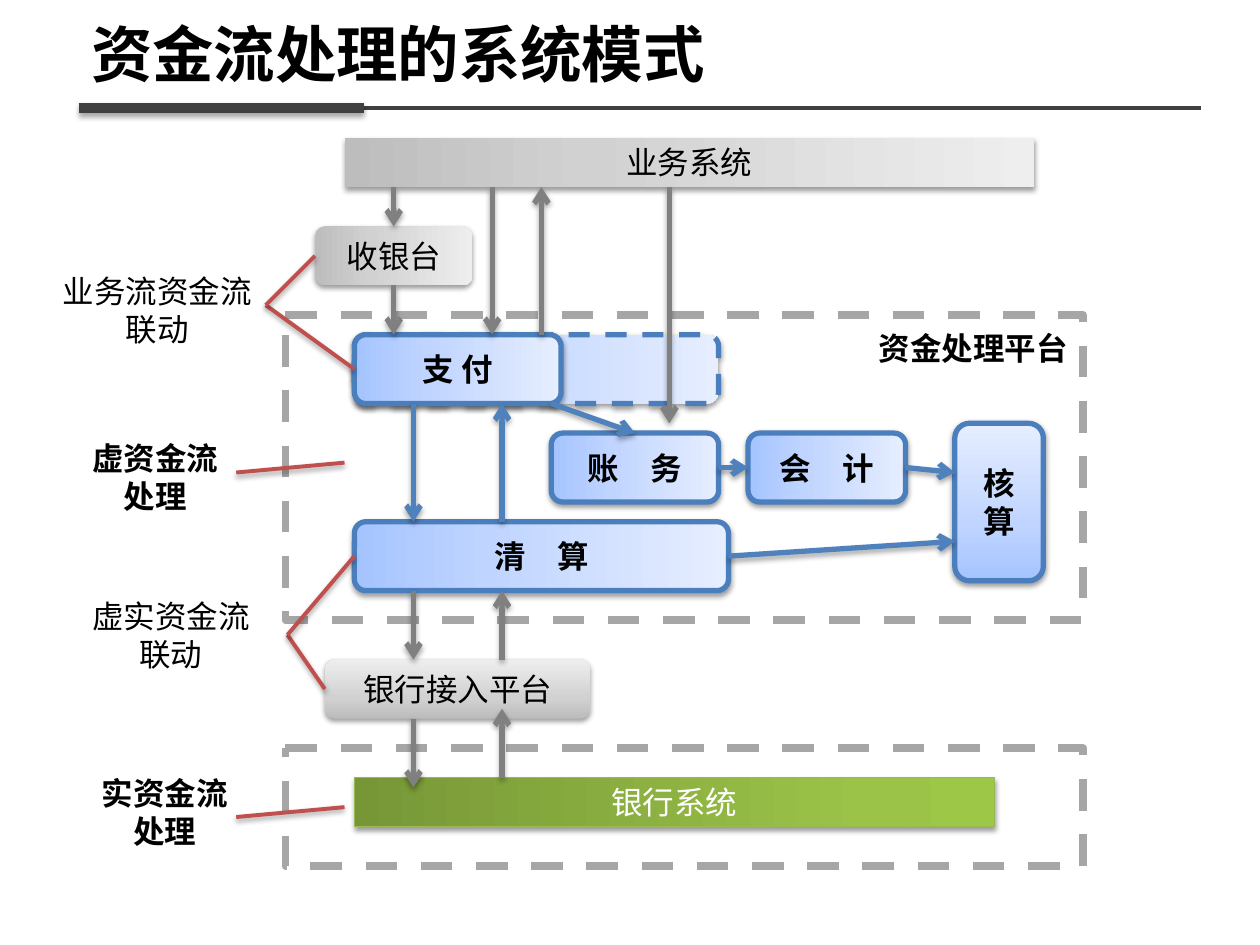
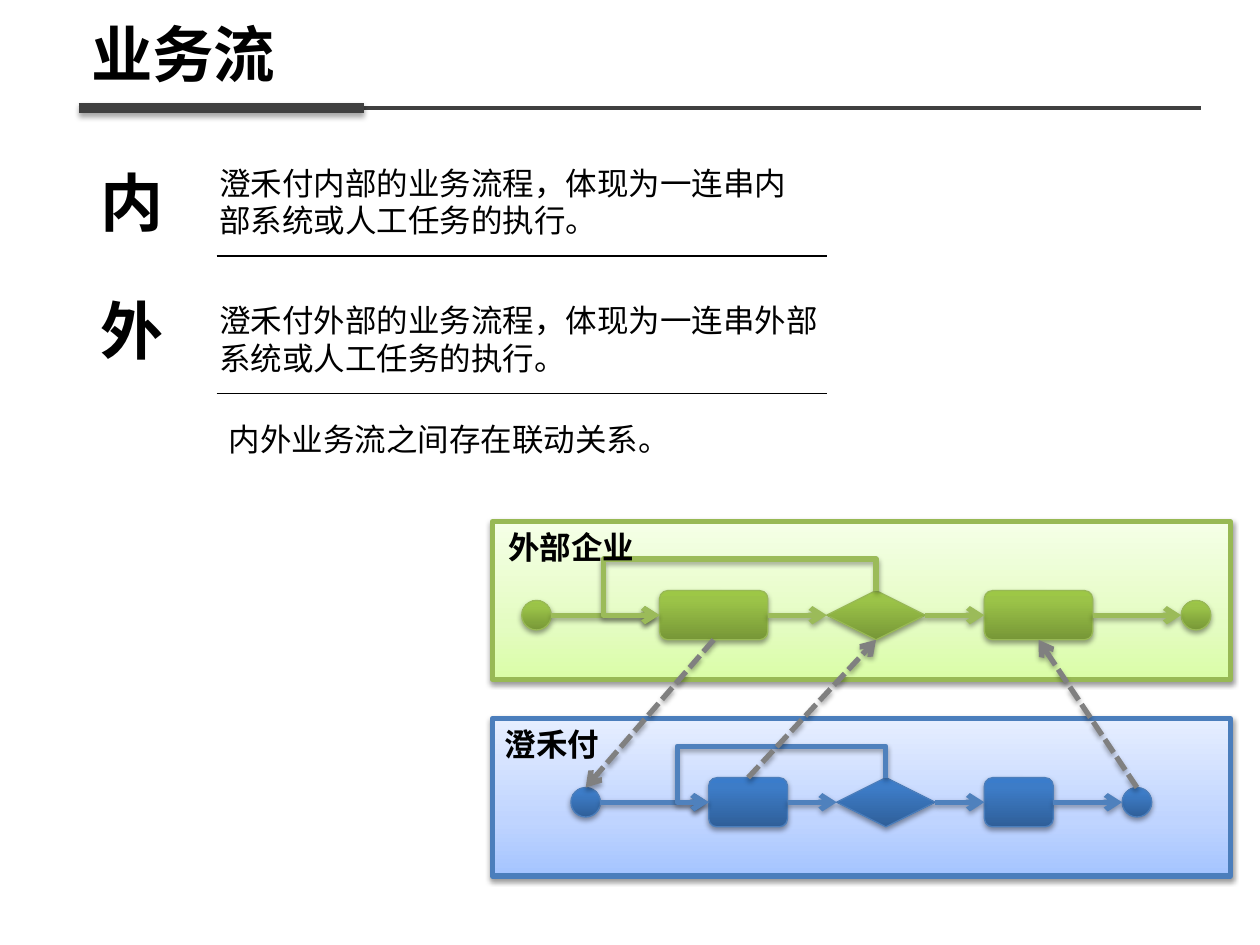
from dataclasses import dataclass
from itertools import pairwise
from typing import NamedTuple, Optional, Union

from lxml.etree import SubElement
from pptx import Presentation
from pptx.dml.color import RGBColor as Rgb
from pptx.enum.dml import MSO_LINE as Dash
from pptx.enum.shapes import MSO_CONNECTOR as Conn, MSO_SHAPE as Form
from pptx.enum.text import MSO_ANCHOR as Anchor, MSO_AUTO_SIZE as Fit, PP_ALIGN as Align
from pptx.oxml.ns import qn
from pptx.util import Emu, Inches, Pt

# Grid: 128 columns by 96 rows of square cells
WIDE, HIGH = Inches(10), Inches(7.5)
CELL = WIDE / 128
TOP, LEFT, BASE, RIGHT = range(4)


def cells(count: float) -> Emu:
    return Emu(round(count * CELL))


# Theme
class Paint(NamedTuple):
    stops: tuple = ()
    line: str = ""
    width: float = 0
    dash: Optional[Dash] = None


@dataclass(frozen=True)
class Theme:
    font: str = "Noto Sans CJK SC"
    black: str = "000000"
    white: str = "FFFFFF"
    dark: str = "404040"
    gray: str = "808080"
    red: str = "C0504D"
    blue: str = "4F81BD"
    green: str = "9BBB59"
    title: float = 35.1
    huge: float = 36
    body: float = 18
    stroke: float = 3
    mark: float = 2.25


T = Theme()
SKY = ((0, "A4C4FF"), (35, "BFD4FF"), (100, "E6EEFF"))
LIME = ((0, "DAFDA7"), (35, "E4FCC2"), (100, "F5FFE7"))
FOG = ((0, "BDBDBD"), (35, "D1D1D1"), (100, "EEEEEE"))
LEAF = ((0, "779737"), (80, "9BC348"), (100, "9DC746"))
NAVY = ((0, "2F5F99"), (80, "3D7CC7"), (100, "3A7CCB"))
CORE = Paint(SKY, "4B7EBC", 3)
SPARE = CORE._replace(dash=Dash.DASH)
FIELD = Paint(LIME, "98B955", 3)
SOFT = Paint(FOG)
BANK = Paint(LEAF, "98B955", 0.75)
DEEP = Paint(NAVY, "4B7EBC", 0.75)
FRAME = Paint((), "A6A6A6", 4.5, Dash.DASH)


# Records
class Area(NamedTuple):
    x: float
    y: float
    w: float
    h: float

    def emu(self) -> list:
        return [cells(n) for n in self]


class Point(NamedTuple):
    x: float
    y: float


class Joint(NamedTuple):
    shape: object
    side: int


End = Union[Point, Joint]


class Box(NamedTuple):
    text: str
    area: Area
    paint: Paint
    form: Form = Form.ROUNDED_RECTANGLE
    bold: bool = False
    rise: bool = False
    ink: str = T.black


class Label(NamedTuple):
    text: str
    area: Area
    bold: bool = False
    size: float = T.body
    align: Align = Align.LEFT
    wrap: bool = False


# Drawing
def shade(item, alpha: int, dist: float) -> None:
    props = item._element.spPr
    found = props.find(qn("a:effectLst"))
    glow = SubElement(props, qn("a:effectLst")) if found is None else found
    cast = SubElement(glow, qn("a:outerShdw"), blurRad=str(Pt(3.1)), dist=str(Pt(dist)),
                      dir="5400000", rotWithShape="0")
    tint = SubElement(cast, qn("a:srgbClr"), val=T.black)
    SubElement(tint, qn("a:alpha"), val=str(alpha * 1000))


def blend(fill, props, stops: tuple, rise: bool) -> None:
    fill.gradient()
    fill.gradient_angle = 90 if rise else 0
    ramp = props.find(".//" + qn("a:gsLst"))
    ramp.clear()
    for pos, tint in stops:
        stop = SubElement(ramp, qn("a:gs"), pos=str(pos * 1000))
        SubElement(stop, qn("a:srgbClr"), val=tint)


def write(frame, text: str, size: float, bold: bool, align: Align, ink: str = T.black) -> None:
    frame.text = text
    for para in frame.paragraphs:
        para.alignment = align
        font = para.font
        font.name, font.size, font.bold = T.font, Pt(size), bold
        font.color.rgb = Rgb.from_string(ink)
        SubElement(para._p.pPr.find(qn("a:defRPr")), qn("a:ea"), typeface=T.font)


def stroke(line, ink: str, width: float, dash: Optional[Dash] = None) -> None:
    line.color.rgb = Rgb.from_string(ink)
    line.width = Pt(width)
    if dash:
        line.dash_style = dash


def draw(slide, box: Box):
    shape = slide.shapes.add_shape(box.form, *box.area.emu())
    paint = box.paint
    if paint.stops:
        blend(shape.fill, shape._element.spPr, paint.stops, box.rise)
    else:
        shape.fill.background()
    if paint.line:
        stroke(shape.line, paint.line, paint.width, paint.dash)
    else:
        shape.line.fill.background()
    shape.shadow.inherit = False
    if paint.stops:
        shade(shape, 38, 1.6)
    if box.text:
        shape.text_frame.vertical_anchor = Anchor.MIDDLE
        write(shape.text_frame, box.text, T.body, box.bold, Align.CENTER, box.ink)
    return shape


def note(slide, label: Label) -> None:
    frame = slide.shapes.add_textbox(*label.area.emu()).text_frame
    frame.word_wrap = label.wrap
    frame.auto_size = Fit.SHAPE_TO_FIT_TEXT
    write(frame, label.text, label.size, label.bold, label.align)


def finish(wire, ink: str, width: float, dash: Optional[Dash], arrow: bool, cast: bool) -> None:
    stroke(wire.line, ink, width, dash)
    if arrow:
        SubElement(wire._element.spPr.find(qn("a:ln")), qn("a:tailEnd"), type="arrow")
    if cast:
        shade(wire, 35, 1.8)
    else:
        SubElement(wire._element.spPr, qn("a:effectLst"))


def link(slide, beg: End, end: End, ink: str, width: float = T.stroke,
         dash: Optional[Dash] = None, arrow: bool = True, cast: bool = True) -> None:
    spots = [p if isinstance(p, Point) else Point(0, 0) for p in (beg, end)]
    wire = slide.shapes.add_connector(Conn.STRAIGHT, *(cells(n) for p in spots for n in p))
    if isinstance(beg, Joint):
        wire.begin_connect(*beg)
    if isinstance(end, Joint):
        wire.end_connect(*end)
    finish(wire, ink, width, dash, arrow, cast)


def loop(slide, beg: Point, end: Point, rise: float, reach: float, ink: str) -> None:
    """Elbow from the top of a choice back to the left side of a task."""
    w, h = end.y - beg.y, beg.x - end.x
    x, y = (beg.x + end.x - w) / 2, (beg.y + end.y - h) / 2
    wire = slide.shapes.add_connector(Conn.ELBOW, *(cells(n) for n in (x, y, x + w, y + h)))
    props = wire._element.spPr
    for key, val in (("rot", "16200000"), ("flipH", "1"), ("flipV", "1")):
        props.find(qn("a:xfrm")).set(key, val)
    geom = props.find(qn("a:prstGeom"))
    geom.set("prst", "bentConnector4")
    guides = geom.find(qn("a:avLst"))
    if guides is None:
        guides = SubElement(geom, qn("a:avLst"))
    for num, share in enumerate((-rise / w, 1 + reach / h), 1):
        SubElement(guides, qn("a:gd"), name=f"adj{num}", fmla=f"val {round(share * 100000)}")
    finish(wire, ink, T.stroke, None, True, True)


def start(deck, text: str):
    slide = deck.slides.add_slide(deck.slide_layouts[5])
    title = slide.shapes.title
    title.left, title.top, title.width, title.height = Area(8, 1.8, 113.7, 8.2).emu()
    frame = title.text_frame
    frame.vertical_anchor, frame.auto_size = Anchor.MIDDLE, Fit.NONE
    write(frame, text, T.title, True, Align.LEFT)
    frame.paragraphs[0].line_spacing = 0.9
    link(slide, Point(8, 11), Point(122, 11), T.dark, T.mark, arrow=False, cast=False)
    link(slide, Point(8, 11), Point(37, 11), T.dark, 6, arrow=False)
    return slide


# Slide 1: system model
def model(deck) -> None:
    slide = start(deck, "资金流处理的系统模式")
    flat = Form.FLOWCHART_PROCESS
    for box in (Box("", Area(36, 34, 37, 7), SPARE),
                Box("", Area(29, 32, 81, 31), FRAME, flat),
                Box("", Area(29, 76, 81, 12), FRAME, flat),
                Box("业务系统", Area(35, 14, 70, 5), SOFT, flat),
                Box("银行系统", Area(36, 79, 65, 5), BANK, flat, ink=T.white)):
        draw(slide, box)
    desk, pay, clear, book, ledger, check, gate = (draw(slide, box) for box in (
        Box("收银台", Area(32, 23, 16, 6), SOFT),
        Box("支 付", Area(36, 34, 21, 7), CORE, bold=True),
        Box("清　算", Area(36, 53, 38, 7), CORE, bold=True),
        Box("账　务", Area(56, 44, 17, 7), CORE, bold=True),
        Box("会　计", Area(76, 44, 16, 7), CORE, bold=True),
        Box("核\n算", Area(97, 43, 9, 16), CORE, bold=True, rise=True),
        Box("银行接入平台", Area(33, 67, 27, 6), SOFT, rise=True)))

    # Flows inside the platform
    for beg, end in ((Point(56, 41), Joint(book, TOP)),
                     (Joint(book, RIGHT), Joint(ledger, LEFT)),
                     (Joint(ledger, RIGHT), Point(97, 48)),
                     (Joint(clear, RIGHT), Point(97, 55)),
                     (Point(42, 41), Point(42, 53)),
                     (Point(51, 53), Point(51, 41))):
        link(slide, beg, end, T.blue)

    # Flows to and from outside
    link(slide, Point(40, 19), Joint(desk, TOP), T.gray)
    link(slide, Joint(desk, BASE), Point(40, 34), T.gray)
    for x, top, base in ((50, 19, 34), (68, 19, 43), (55, 34, 19), (42, 60, 67),
                         (51, 67, 60), (42, 73, 80), (51, 79, 72)):
        link(slide, Point(x, top), Point(x, base), T.gray)

    # Side notes and their leaders
    fund, trade = Point(29.2, 64.5), Point(27, 31)
    for beg, end in ((Point(24, 48), Point(35, 47)), (Point(24, 83), Point(35, 82)),
                     (fund, Joint(gate, LEFT)), (fund, Joint(clear, LEFT)),
                     (trade, Joint(pay, LEFT)), (trade, Joint(desk, LEFT))):
        link(slide, beg, end, T.red, T.mark, arrow=False)
    for text, area, bold in (("虚资金流\n处理", Area(8, 44, 15.5, 9), True),
                             ("实资金流\n处理", Area(9, 78, 15.5, 9), True),
                             ("虚实资金流\n联动", Area(8, 60, 18.7, 9), False),
                             ("业务流资金流\n联动", Area(5, 27, 22, 9), False)):
        note(slide, Label(text, area, bold, align=Align.CENTER))
    note(slide, Label("资金处理平台", Area(88, 32.8, 22, 5), True))


# Slide 2: business flow
class Lane(NamedTuple):
    name: str
    area: Area
    inset: float
    panel: Paint
    paint: Paint
    ink: str
    axis: float
    steps: tuple  # left and width of start, task, choice, task, end
    reach: float


LANES = (
    Lane("外部企业", Area(50, 53, 75, 16), 0.4, FIELD, BANK, T.green, 62.5,
         ((53, 3), (67, 11), (84, 10), (100, 11), (120, 3)), 5.66),
    Lane("澄禾付", Area(50, 73, 75, 16), 0, CORE, DEEP, T.blue, 81.5,
         ((58, 3), (72, 8), (85, 10), (100, 7), (114, 3)), 3.2))
FORMS = (Form.OVAL, Form.ROUNDED_RECTANGLE, Form.DIAMOND, Form.ROUNDED_RECTANGLE, Form.OVAL)


def stage(slide, lane: Lane) -> list:
    draw(slide, Box("", lane.area, lane.panel, Form.RECTANGLE, rise=True))
    nodes = []
    for form, (x, w) in zip(FORMS, lane.steps):
        h = 3 if form == Form.OVAL else 5
        nodes.append(draw(slide, Box("", Area(x, lane.axis - h / 2, w, h), lane.paint, form,
                                     rise=True)))
    for num, ((x, w), (far, _)) in enumerate(pairwise(lane.steps)):
        beg = Joint(nodes[num], RIGHT) if num else Point(x + w, lane.axis)
        end = Joint(nodes[num + 1], LEFT) if num < 3 else Point(far, lane.axis)
        link(slide, beg, end, lane.ink)
    task, (x, w) = lane.steps[1][0], lane.steps[2]
    loop(slide, Point(x + w / 2, lane.axis - 2.5), Point(task, lane.axis), 3.2, lane.reach,
         lane.ink)
    note(slide, Label(lane.name, Area(lane.area.x + lane.inset, lane.area.y, 15.5, 5), True))
    return nodes


def flow(deck) -> None:
    slide = start(deck, "业务流")
    outer, inner = (stage(slide, lane) for lane in LANES)
    for beg, end in ((Joint(outer[1], BASE), Joint(inner[0], TOP)),
                     (Joint(inner[1], TOP), Joint(outer[2], BASE)),
                     (Joint(inner[4], TOP), Joint(outer[3], BASE))):
        link(slide, beg, end, T.gray, dash=Dash.SQUARE_DOT)

    # Definitions
    for side, row, wide, top, rule in (("内", 16, 61, 16, 26), ("外", 29, 64, 30, 40)):
        note(slide, Label(side, Area(9, row, 9, 9), True, T.huge))
        text = f"澄禾付{side}部的业务流程，体现为一连串{side}部系统或人工任务的执行。"
        note(slide, Label(text, Area(21, top, wide, 9), wrap=True))
        link(slide, Point(22, rule), Point(84, rule), T.black, 0.75, arrow=False, cast=False)
    note(slide, Label("内外业务流之间存在联动关系。", Area(22, 42, 64, 5), wrap=True))


def main() -> None:
    deck = Presentation()
    deck.slide_width, deck.slide_height = WIDE, HIGH
    model(deck)
    flow(deck)
    deck.save("out.pptx")


if __name__ == "__main__":
    main()
